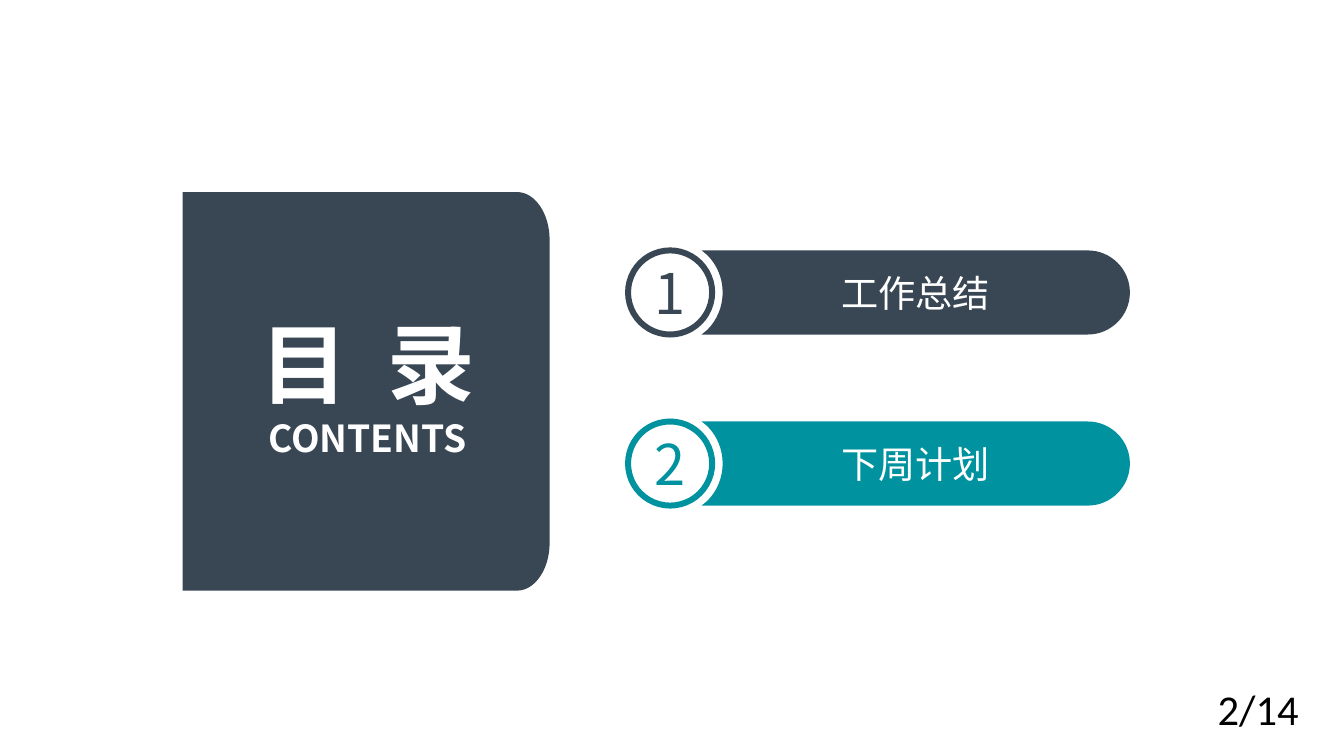
from dataclasses import dataclass

from lxml import etree
from pptx import Presentation
from pptx.dml.color import RGBColor
from pptx.enum.shapes import MSO_SHAPE
from pptx.enum.text import MSO_ANCHOR, PP_ALIGN
from pptx.oxml.ns import qn
from pptx.util import Pt

EMU_PER_PX = 9144
OVAL = MSO_SHAPE.OVAL
MIDDLE, TOP = MSO_ANCHOR.MIDDLE, MSO_ANCHOR.TOP
CENTER, LEFT = PP_ALIGN.CENTER, PP_ALIGN.LEFT

Point = tuple[float, float]
Segment = list[Point]  # one point is a line, three are a cubic curve


@dataclass(frozen=True)
class Theme:
    slate: str = "394754"
    teal: str = "00939F"
    white: str = "FFFFFF"
    black: str = "000000"
    cjk_font: str = "Noto Sans CJK SC"
    page_font: str = "Calibri"
    title_size: float = 66
    number_size: float = 42.2
    page_size: float = 32
    label_size: float = 28
    ring_width: float = 4.5
    title_spacing: float = 7.5


THEME = Theme()


@dataclass(frozen=True)
class TextStyle:
    size: float
    color: str
    font: str = THEME.cjk_font
    bold: bool = False
    align: PP_ALIGN = CENTER
    anchor: MSO_ANCHOR = MIDDLE


@dataclass(frozen=True)
class AgendaItem:
    number: str
    label: str
    color: str


AGENDA = [
    AgendaItem("1", "工作总结", THEME.slate),
    AgendaItem("2", "下周计划", THEME.teal),
]
AGENDA_TOP, AGENDA_STEP = 262, 179
BADGE_LEFT, BADGE_SIZE = 657, 88
PILL_LEFT, PILL_RIGHT = 734, 1182
ROUNDNESS = 0.55


def emu(px: float) -> int:
    return round(px * EMU_PER_PX)


def quarter(start: Point, corner: Point, end: Point) -> Segment:
    """Quarter ellipse from start to end, bulging towards the corner."""
    handles = [(x + (corner[0] - x) * ROUNDNESS, y + (corner[1] - y) * ROUNDNESS)
               for x, y in (start, end)]
    return [*handles, end]


def paint(shape, fill: str, line: str | None = None) -> None:
    shape.shadow.inherit = False
    shape.fill.solid()
    shape.fill.fore_color.rgb = RGBColor.from_string(fill)
    if line is None:
        shape.line.fill.background()
    else:
        shape.line.color.rgb = RGBColor.from_string(line)
        shape.line.width = Pt(THEME.ring_width)


def draw_outline(page, start: Point, segments: list[Segment], fill: str):
    """Draw a closed freeform, turning each three-point segment into a cubic curve."""
    builder = page.shapes.build_freeform(emu(start[0]), emu(start[1]), scale=1.0)
    builder.add_line_segments([(emu(x), emu(y)) for segment in segments for x, y in segment])
    shape = builder.convert_to_shape()
    outline = next(shape._element.iter(qn("a:path")))
    steps = iter(outline.findall(qn("a:lnTo")))
    for segment in segments:
        first, *others = [next(steps) for _ in segment]
        if others:
            first.tag = qn("a:cubicBezTo")
            for step in others:
                first.append(step[0])
                outline.remove(step)
    paint(shape, fill)
    return shape


def format_span(span, style: TextStyle) -> None:
    span.font.size = Pt(style.size)
    span.font.bold = style.bold
    span.font.name = style.font
    span.font.color.rgb = RGBColor.from_string(style.color)
    east_asian = etree.SubElement(span._r.get_or_add_rPr(), qn("a:ea"))
    east_asian.set("typeface", style.font)


def write(shape, spans: list[str], style: TextStyle, margin: int = 0) -> None:
    frame = shape.text_frame
    frame.word_wrap = True
    frame.vertical_anchor = style.anchor
    frame.margin_left = frame.margin_right = emu(margin)
    frame.margin_top = frame.margin_bottom = emu(margin / 2)
    para = frame.paragraphs[0]
    para.alignment = style.align
    for text in spans:
        span = para.add_run()
        span.text = text
        format_span(span, style)


def add_text(page, left: int, top: int, width: int, height: int,
             spans: list[str], style: TextStyle, margin: int = 0):
    box = page.shapes.add_textbox(emu(left), emu(top), emu(width), emu(height))
    write(box, spans, style, margin)
    return box


def draw_title_panel(page) -> None:
    left, top, right, bottom = 191, 201, 575, 618
    inner_x, upper_y, lower_y = right - 34, top + 50, bottom - 50
    draw_outline(page, (left, top), [
        [(inner_x, top)],
        quarter((inner_x, top), (right, top), (right, upper_y)),
        [(right, lower_y)],
        quarter((right, lower_y), (right, bottom), (inner_x, bottom)),
        [(left, bottom)],
    ], THEME.slate)


def draw_titles(page) -> None:
    title_style = TextStyle(THEME.title_size, THEME.white, bold=True)
    title = add_text(page, 228, 324, 314, 111, ["目 ", "录"], title_style)
    spaced = title.text_frame.paragraphs[0].runs[0]
    spaced._r.get_or_add_rPr().set("spc", str(round(THEME.title_spacing * 100)))

    subtitle_style = TextStyle(THEME.label_size, THEME.white, bold=True, anchor=TOP)
    add_text(page, 229, 435, 311, 47, ["CONTENTS"], subtitle_style)


def draw_agenda_item(page, item: AgendaItem, top: int) -> None:
    """Draw a pill with a round notch on its left and a numbered badge in the notch."""
    radius = BADGE_SIZE // 2
    middle, bottom = top + radius, top + BADGE_SIZE
    cap_x, notch_x, notch_right = PILL_RIGHT - radius, PILL_LEFT + 6, PILL_LEFT + 22
    pill = draw_outline(page, (PILL_LEFT, top), [
        [(cap_x, top)],
        quarter((cap_x, top), (PILL_RIGHT, top), (PILL_RIGHT, middle)),
        quarter((PILL_RIGHT, middle), (PILL_RIGHT, bottom), (cap_x, bottom)),
        [(PILL_LEFT, bottom)],
        [(notch_x, bottom - 5)],
        [(notch_x + 10, bottom - 15), (notch_right, middle + 15), (notch_right, middle)],
        [(notch_right, middle - 15), (notch_x + 10, top + 15), (notch_x, top + 5)],
    ], item.color)
    write(pill, [item.label], TextStyle(THEME.label_size, THEME.white))

    badge = page.shapes.add_shape(OVAL, emu(BADGE_LEFT), emu(top),
                                  emu(BADGE_SIZE), emu(BADGE_SIZE))
    paint(badge, THEME.white, item.color)
    write(badge, [item.number], TextStyle(THEME.number_size, item.color))


def main() -> None:
    deck = Presentation()
    deck.slide_width, deck.slide_height = emu(1406), emu(791)
    page = deck.slides.add_slide(deck.slide_layouts[6])

    page_style = TextStyle(THEME.page_size, THEME.black, THEME.page_font,
                           align=LEFT, anchor=TOP)
    add_text(page, 1264, 710, 142, 61, ["2/14"], page_style, margin=10)
    draw_title_panel(page)
    for index, item in enumerate(AGENDA):
        draw_agenda_item(page, item, AGENDA_TOP + index * AGENDA_STEP)
    draw_titles(page)
    deck.save("out.pptx")


if __name__ == "__main__":
    main()
